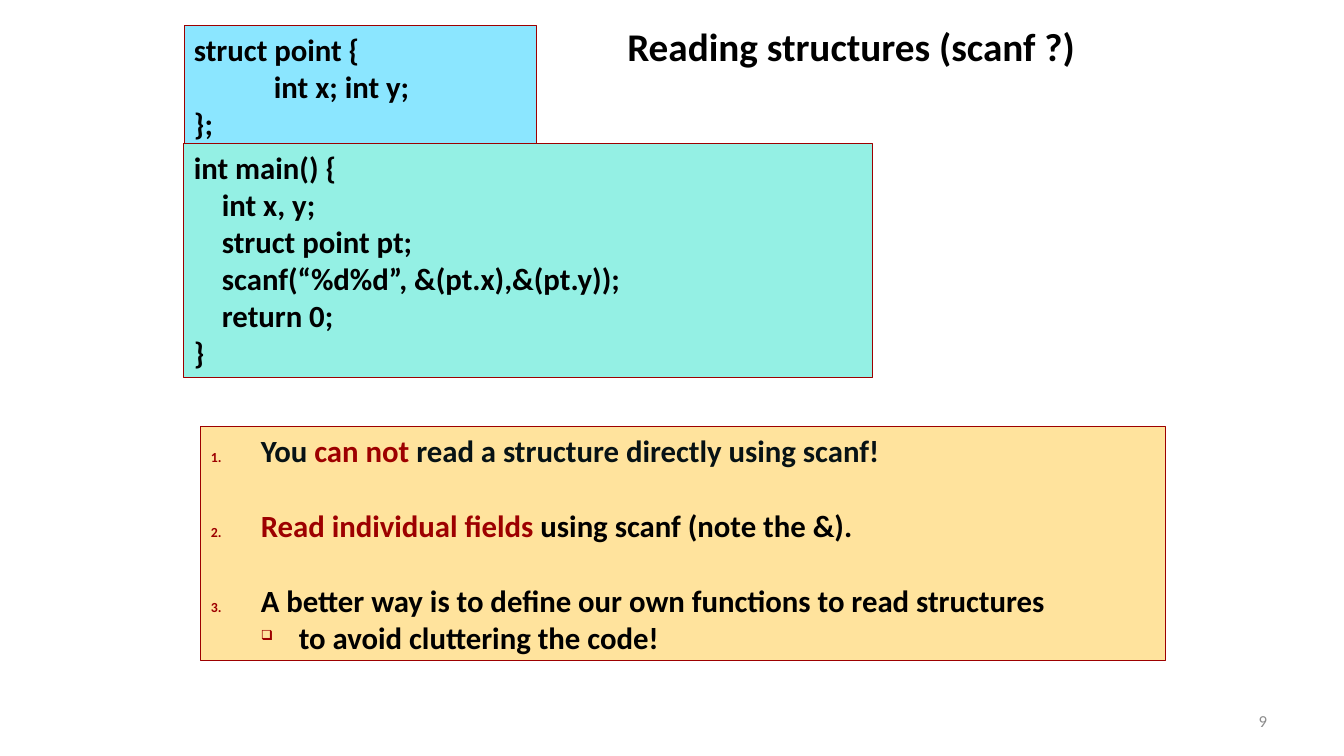
from lxml import etree
from pptx import Presentation
from pptx.dml.color import RGBColor
from pptx.enum.shapes import MSO_SHAPE
from pptx.enum.text import MSO_ANCHOR, PP_ALIGN
from pptx.oxml.ns import qn
from pptx.util import Emu, Pt

RECTANGLE = MSO_SHAPE.RECTANGLE
TOP, MIDDLE = MSO_ANCHOR.TOP, MSO_ANCHOR.MIDDLE
LEFT, CENTER, RIGHT = PP_ALIGN.LEFT, PP_ALIGN.CENTER, PP_ALIGN.RIGHT

EMU_PER_PX = 914400 / 100.8
FONT = "Calibri"
BODY_SIZE = 22
NOTE_GAP = 27  # points, one body line
COLORS = {
    "black": "000000",
    "ink": "071215",
    "red": "9D0000",
    "gray": "8C8C8C",
    "struct": "8BE6FF",
    "main": "94F0E4",
    "notes": "FFE39D",
}


def px(length):
    return Emu(round(length * EMU_PER_PX))


def rgb(name):
    return RGBColor.from_string(COLORS[name])


def style(paragraph, size=BODY_SIZE, color="black", bold=True, align=LEFT):
    paragraph.alignment = align
    font = paragraph.font
    font.name, font.size, font.bold = FONT, Pt(size), bold
    font.color.rgb = rgb(color)


def indent(paragraph, margin, first=0):
    properties = paragraph._p.get_or_add_pPr()
    properties.set("marL", str(px(margin)))
    properties.set("indent", str(px(first)))


def add_bullet(paragraph, tag, **attributes):
    properties = paragraph._p.get_or_add_pPr()
    bullet_color = etree.SubElement(properties, qn("a:buClr"))
    etree.SubElement(bullet_color, qn("a:srgbClr"), val=COLORS["red"])
    etree.SubElement(properties, qn("a:buSzPct"), val="45000")
    etree.SubElement(properties, qn(tag), **attributes)


def add_label(slide, box, text, anchor=TOP, **look):
    frame = slide.shapes.add_textbox(*map(px, box)).text_frame
    frame.word_wrap = True
    frame.vertical_anchor = anchor
    paragraph = frame.paragraphs[0]
    paragraph.text = text
    style(paragraph, **look)


def add_panel(slide, box, fill):
    panel = slide.shapes.add_shape(RECTANGLE, *map(px, box))
    panel.shadow.inherit = False
    panel.fill.solid()
    panel.fill.fore_color.rgb = rgb(fill)
    panel.line.color.rgb = rgb("red")
    panel.line.width = Pt(0.75)
    frame = panel.text_frame
    frame.word_wrap = True
    frame.vertical_anchor = TOP
    return frame


def add_lines(frame, count):
    """Return the frame's paragraphs, extended to count."""
    for _ in range(count - 1):
        frame.add_paragraph()
    return frame.paragraphs


def add_code(slide, box, fill, lines, step):
    """Code panel whose inner lines are indented by step px."""
    paragraphs = add_lines(add_panel(slide, box, fill), len(lines))
    for paragraph, line in zip(paragraphs, lines):
        paragraph.text = line
        style(paragraph)
        if line not in (lines[0], lines[-1]):
            indent(paragraph, step)


def add_notes(slide, box, notes, detail):
    """Numbered notes, the last one followed by a bulleted detail."""
    *numbered, last = add_lines(add_panel(slide, box, "notes"), len(notes) + 1)
    for number, (paragraph, parts) in enumerate(zip(numbered, notes)):
        style(paragraph)
        for text, color in parts:
            run = paragraph.add_run()
            run.text = text
            run.font.color.rgb = rgb(color)
        indent(paragraph, 50, -50)
        paragraph.space_before = Pt(NOTE_GAP if number else 0)
        add_bullet(paragraph, "a:buAutoNum", type="arabicPeriod")
    last.text = detail
    last.level = 1
    style(last)
    indent(last, 88, -38)
    last.space_before = Pt(0)
    add_bullet(last, "a:buChar", char="❑")


def main():
    deck = Presentation()
    deck.slide_width, deck.slide_height = px(1344), px(756)
    slide = deck.slides.add_slide(deck.slide_layouts[6])

    # Title
    add_label(slide, (537, 17, 628, 58), "Reading structures (scanf ?)",
              size=28, align=CENTER)

    # Code
    add_code(slide, (184, 26, 353, 122), "struct",
             ["struct point {", "int x; int y;", "};"], step=80)
    add_code(slide, (184, 144, 689, 234), "main",
             ["int main() {", "int x, y;", "struct point pt;",
              "scanf(“%d%d”, &(pt.x),&(pt.y));", "return 0;", "}"], step=28)

    # Notes
    notes = [
        [("You", "ink"), (" can not ", "red"),
         ("read a structure directly using scanf!", "ink")],
        [("Read individual fields", "red"),
         (" using scanf (note the &).", "black")],
        [("A better way is to define our own functions to read structures",
          "black")],
    ]
    add_notes(slide, (201, 427, 965, 234), notes,
              "to avoid cluttering the code!")

    # Page number
    add_label(slide, (964, 701, 313, 40), "9", anchor=MIDDLE,
              size=12, color="gray", bold=False, align=RIGHT)

    deck.save("out.pptx")


if __name__ == "__main__":
    main()
